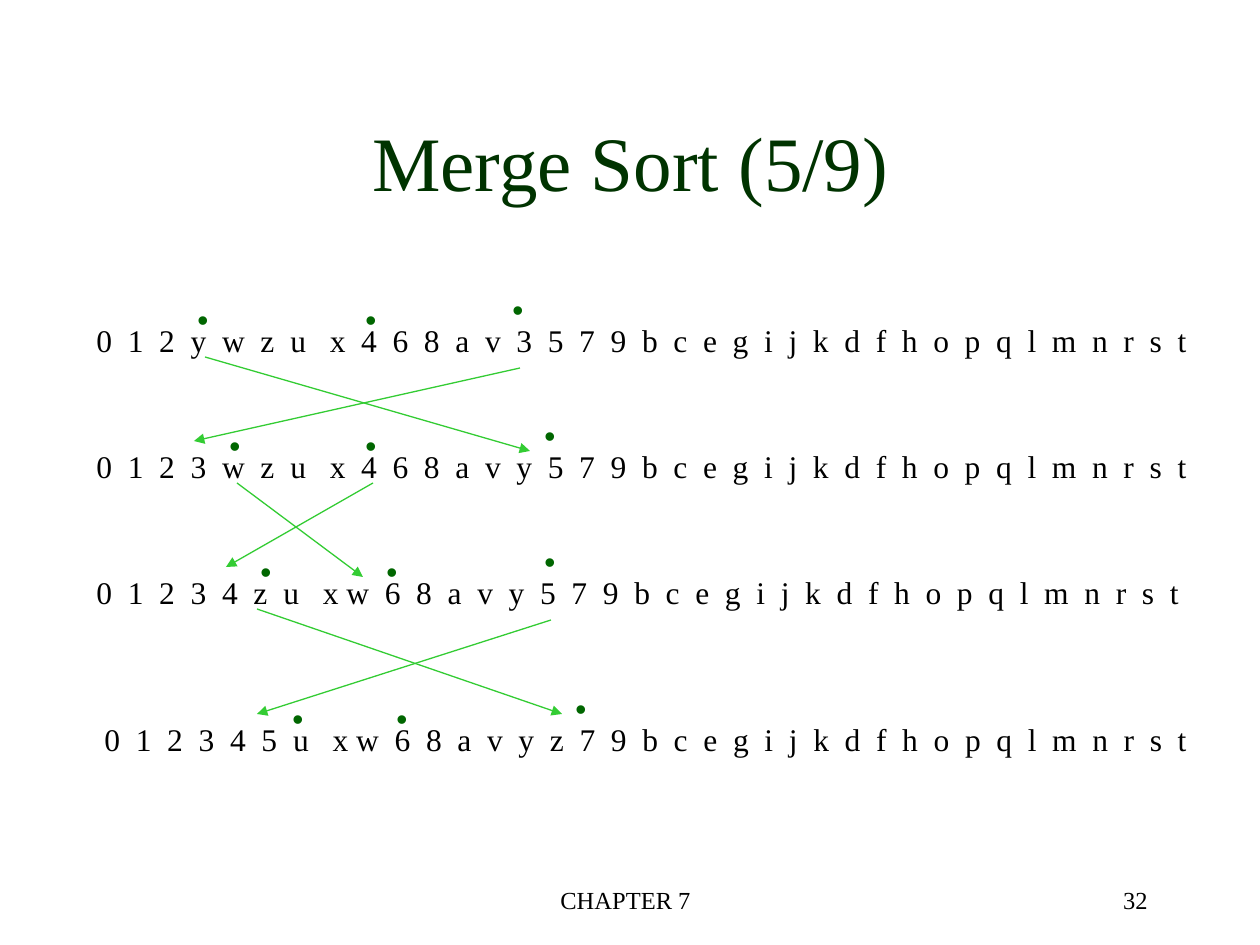
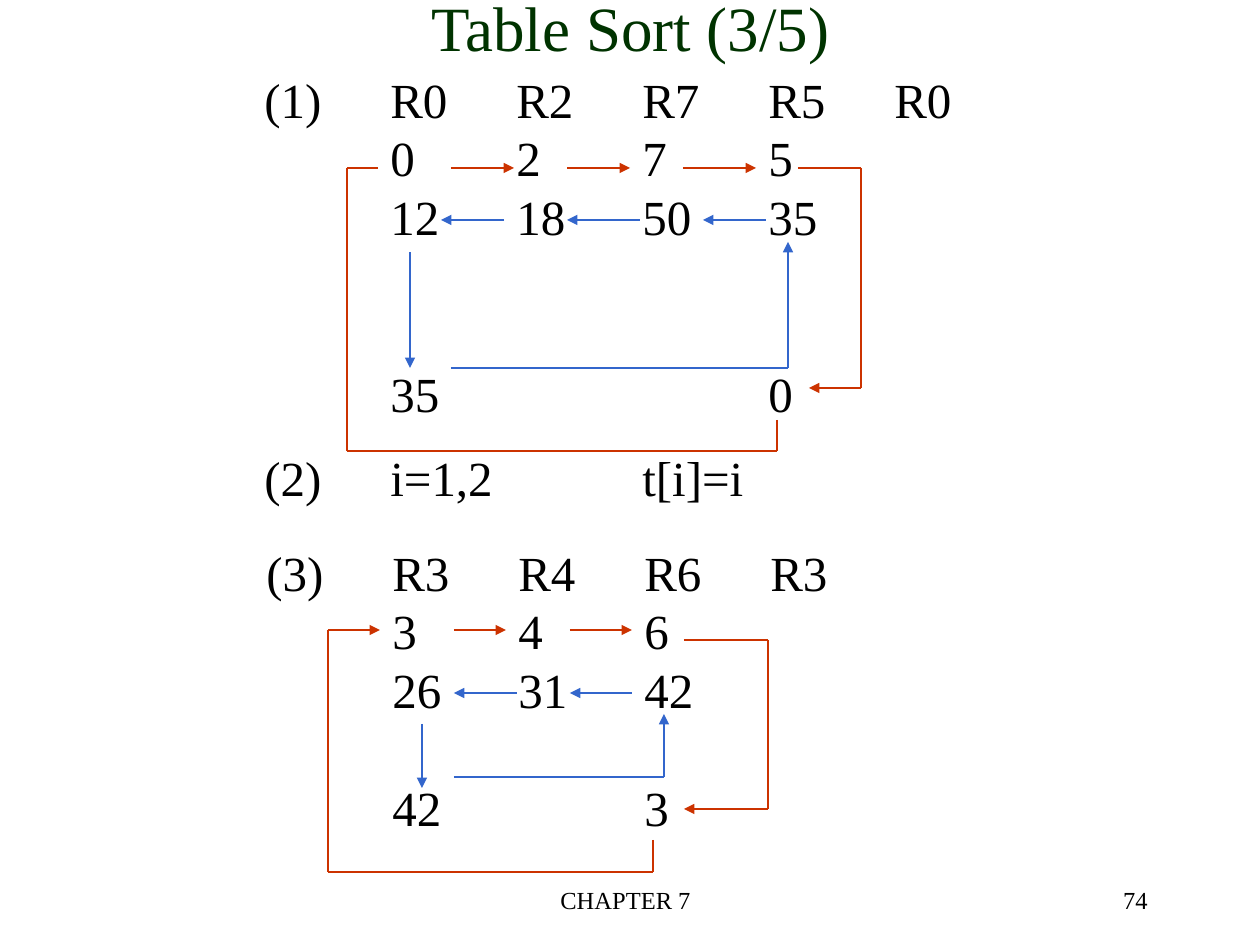
import pptx
import pptx.dml.color
import pptx.enum.shapes
import pptx.enum.text
import pptx.oxml
import pptx.oxml.ns
import pptx.util

PX = 914400 / 126
SERIF = "Times New Roman"
INK, TITLE_GREEN, DOT_GREEN, ARROW_GREEN = "000000", "003300", "006600", "33CC33"
RED, BLUE = "CC3300", "3366CC"
ALIGN = pptx.enum.text.PP_ALIGN
ANCHOR = pptx.enum.text.MSO_ANCHOR
AUTO_SIZE = pptx.enum.text.MSO_AUTO_SIZE
LINE_HEIGHT = 1.2
TAB_INCHES = range(1, 8)


def emu(px):
    return round(px * PX)


def color(hex_code):
    return pptx.dml.color.RGBColor.from_string(hex_code)


def sub_element(parent, tag, **attributes):
    child = parent.makeelement(pptx.oxml.ns.qn(tag), attributes)
    parent.append(child)
    return child


def add_run(paragraph, words, size, hex_code, font=SERIF, spacing=0):
    run = paragraph.add_run()
    run.text = words
    run.font.size = pptx.util.Pt(size)
    run.font.name = font
    run.font.color.rgb = color(hex_code)
    if spacing:
        run.font._element.set("spc", str(round(spacing * 100)))


def set_line_height(paragraph, size):
    paragraph.line_spacing = pptx.util.Pt(round(size * LINE_HEIGHT, 1))


def add_text_frame(shapes, box):
    frame = shapes.add_textbox(*map(emu, box)).text_frame
    frame.word_wrap = True
    return frame


def add_line_of_text(shapes, box, words, size, hex_code=INK, font=SERIF, align=ALIGN.LEFT):
    paragraph = add_text_frame(shapes, box).paragraphs[0]
    paragraph.alignment = align
    set_line_height(paragraph, size)
    add_run(paragraph, words, size, hex_code, font)


def add_tabbed_lines(shapes, box, lines, size=28):
    frame = add_text_frame(shapes, box)
    for number, (words, skipped_lines) in enumerate(lines):
        paragraph = frame.paragraphs[0] if number == 0 else frame.add_paragraph()
        set_line_height(paragraph, size)
        if skipped_lines:
            paragraph.space_before = pptx.util.Pt(round(skipped_lines * size * LINE_HEIGHT, 1))
        stops = sub_element(paragraph._p.get_or_add_pPr(), "a:tabLst")
        for inch in TAB_INCHES:
            sub_element(stops, "a:tab", pos=str(inch * 914400), algn="l")
        add_run(paragraph, words, size, INK)


def add_route(shapes, origin, points, hex_code, arrow=True):
    left, top = origin
    corners = [(emu(left + x), emu(top + y)) for x, y in points]
    for start, end in zip(corners, corners[1:]):
        segment = shapes.add_connector(pptx.enum.shapes.MSO_CONNECTOR.STRAIGHT, *start, *end)
        segment.line.color.rgb = color(hex_code)
        segment.line.width = pptx.util.Pt(0.75)
        if arrow and end == corners[-1]:
            sub_element(segment.line._get_or_add_ln(), "a:tailEnd", type="triangle")
        sub_element(segment._element.spPr, "a:effectLst")


def add_titled_slide(deck, title, title_box, title_size, page):
    slide = deck.slides.add_slide(deck.slide_layouts[5])
    heading = slide.shapes.title
    heading.left, heading.top, heading.width, heading.height = map(emu, title_box)
    frame = heading.text_frame
    frame.auto_size = AUTO_SIZE.NONE
    frame.vertical_anchor = ANCHOR.MIDDLE
    paragraph = frame.paragraphs[0]
    paragraph.alignment = ALIGN.CENTER
    set_line_height(paragraph, title_size)
    add_run(paragraph, title, title_size, TITLE_GREEN)
    add_line_of_text(slide.shapes, (426, 879, 399, 63), "CHAPTER 7", 14, align=ALIGN.CENTER)
    add_line_of_text(slide.shapes, (898, 879, 262, 63), page, 14, align=ALIGN.RIGHT)
    return slide


def add_merge_step(shapes, origin, keys, dots, swaps):
    left, top = origin
    paragraph = add_text_frame(shapes, (left, top, 1130, 50)).paragraphs[0]
    set_line_height(paragraph, 18)
    for words, spacing in keys:
        add_run(paragraph, words, 18, INK, spacing=spacing)
    for x, y in zip(dots, (-21, -21, -31)):
        add_line_of_text(shapes, (left + x, top + y, 38, 50), "•", 18, DOT_GREEN, "Arial")
    for swap in swaps:
        add_route(shapes, origin, swap, ARROW_GREEN)


def build_merge_sort(deck):
    slide = add_titled_slide(deck, "Merge Sort (5/9)", (95, 82, 1071, 158), 44, "32")
    normal, wide, tight = 2.25, 4.5, 0
    rest = "b c e g i j k d f h o p q l m n r s t"
    steps = [
        ((84, 315),
         [("0 1 2 y w z ", normal), ("u ", wide), ("x 4 6 8 a v 3 5 7 9 " + rest, normal)],
         (101, 269, 416),
         [((436, 53), (110, 126)), ((121, 42), (446, 136))]),
        ((84, 441),
         [("0 1 2 3 w z ", normal), ("u ", wide), ("x 4 6 8 a v y 5 7 9 " + rest, normal)],
         (133, 269, 448),
         [((289, 42), (142, 126)), ((153, 42), (279, 136))]),
        ((84, 567),
         [("0 1 2 3 4 z ", normal), ("u ", wide), ("x ", tight),
          ("w 6 8 a v y 5 7 9 " + rest, normal)],
         (164, 290, 448),
         [((173, 42), (478, 147)), ((467, 53), (173, 147))]),
        ((92, 714),
         [("0 1 2 3 4 5 ", normal), ("u ", wide), ("x ", tight),
          ("w 6 8 a v y z 7 9 " + rest, normal)],
         (188, 292, 471),
         []),
    ]
    for step in steps:
        add_merge_step(slide.shapes, *step)


def add_cycle(slide, box, lines, routes):
    cycle = slide.shapes.add_group_shape().shapes
    add_tabbed_lines(cycle, box, lines)
    for hex_code, arrow, points in routes:
        add_route(cycle, box[:2], points, hex_code, arrow)


def build_table_sort(deck):
    slide = add_titled_slide(deck, "Table Sort (3/5)", (95, 0, 1071, 53), 36, "74")
    add_cycle(
        slide, (252, 63, 712, 365),
        [("(1)\tR0\tR2\tR7\tR5\tR0", 0), ("\t0\t2\t7\t5", 0),
         ("\t12\t18\t50\t35", 0), ("\t35\t\t\t0", 2)],
        [(RED, True, [(199, 105), (262, 105)]),
         (RED, True, [(315, 105), (378, 105)]),
         (RED, True, [(431, 105), (504, 105)]),
         (RED, True, [(546, 105), (609, 105), (609, 325), (557, 325)]),
         (RED, False, [(525, 357), (525, 388), (95, 388), (95, 105), (126, 105)]),
         (BLUE, True, [(514, 157), (451, 157)]),
         (BLUE, True, [(388, 157), (315, 157)]),
         (BLUE, True, [(252, 157), (189, 157)]),
         (BLUE, True, [(158, 189), (158, 305)]),
         (BLUE, True, [(199, 305), (536, 305), (536, 179)])])
    add_tabbed_lines(slide.shapes, (252, 441, 504, 72), [("(2)\ti=1,2\t\tt[i]=i", 0)])
    add_cycle(
        slide, (254, 536, 590, 307),
        [("(3)\tR3\tR4\tR6\tR3", 0), ("\t3\t4\t6", 0),
         ("\t26\t31\t42", 0), ("\t42\t\t3", 1)],
        [(RED, True, [(200, 94), (252, 94)]),
         (RED, True, [(316, 94), (378, 94)]),
         (RED, True, [(430, 104), (514, 104), (514, 273), (430, 273)]),
         (RED, True, [(399, 304), (399, 336), (74, 336), (74, 94), (126, 94)]),
         (BLUE, True, [(378, 157), (316, 157)]),
         (BLUE, True, [(263, 157), (200, 157)]),
         (BLUE, True, [(168, 188), (168, 252)]),
         (BLUE, True, [(200, 241), (410, 241), (410, 178)])])


def main():
    deck = pptx.Presentation()
    deck.slide_width, deck.slide_height = emu(1260), emu(945)
    build_merge_sort(deck)
    build_table_sort(deck)
    deck.save("out.pptx")


if __name__ == "__main__":
    main()
